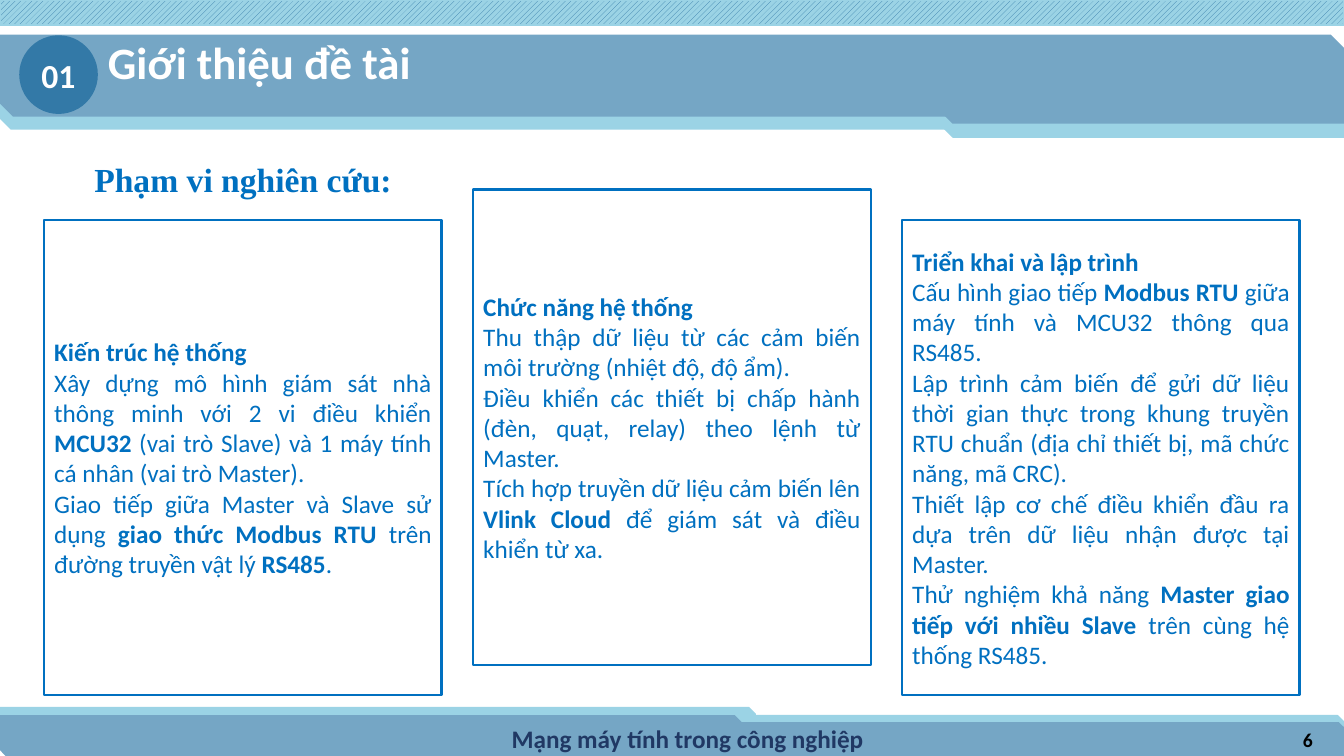
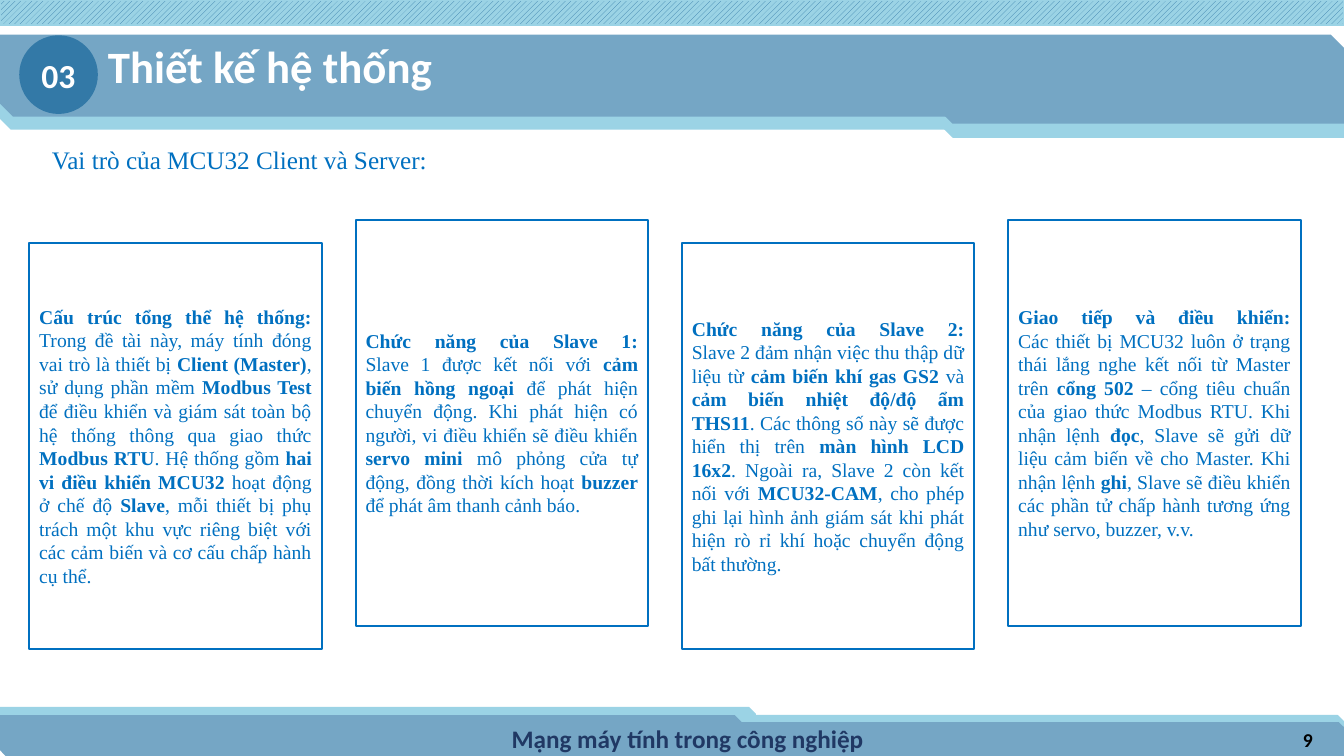
from lxml.etree import SubElement
from pptx import Presentation
from pptx.dml.color import RGBColor
from pptx.enum.dml import MSO_PATTERN
from pptx.enum.shapes import MSO_SHAPE
from pptx.enum.text import MSO_ANCHOR, MSO_AUTO_SIZE, PP_ALIGN
from pptx.oxml.ns import qn
from pptx.util import Inches, Pt

LIGHT, MID, DEEP = "9BD3E5", "75A6C5", "3379A7"
BLUE, NAVY, WHITE, BLACK = "0070C0", "203864", "FFFFFF", "000000"
SANS, SERIF = "Calibri", "Times New Roman"
SNIP, RECT = MSO_SHAPE.SNIP_2_DIAG_RECTANGLE, MSO_SHAPE.RECTANGLE
LEFT, MIDDLE, RIGHT, FULL = PP_ALIGN.LEFT, PP_ALIGN.CENTER, PP_ALIGN.RIGHT, PP_ALIGN.JUSTIFY

# Left, top, width and height in percent of the slide, back to front
BANDS = [
    (SNIP, LIGHT, (42.16, 94.67, 57.84, 5.07)),
    (SNIP, LIGHT, (0, 93.6, 56.19, 5.07)),
    (SNIP, MID, (46.74, 95.6, 53.26, 4.4)),
    (SNIP, MID, (0, 94.67, 55.14, 5.33)),
    (SNIP, LIGHT, (69.92, 7.73, 30.08, 10.4)),
    (SNIP, LIGHT, (0, 8.27, 100, 8.8)),
    (SNIP, MID, (0, 4.67, 100, 10.67)),
    (RECT, LIGHT, (0, 0, 100, 3.33)),
    (SNIP, MID, (69.92, 5.87, 30.08, 10.4)),
]
FOOT = (30.31, 95.07, 41.71, 5.33)
PAGE = (75.92, 95.2, 22.51, 5.33)
BADGE = (1.43, 4.67, 5.85, 10.4)

# In texts, *stars* mark bold and a newline is a line break
SLIDES = [
    {
        "title": "Giới thiệu đề tài", "rise": 3.2, "badge": "01", "page": "6",
        "head": "*Phạm vi nghiên cứu:*", "spot": (6.15, 20.4, 23.86, 6.67), "size": 24,
        "grid": (3.3, 29.07, 29.56, 62.93), "gap": 2.36, "lift": 4,
        "look": {"size": Pt(18), "name": SANS},
        "cards": [
            ["*Kiến trúc hệ thống*",
             "Xây dựng mô hình giám sát nhà thông minh với 2 vi điều khiển *MCU32* "
             "(vai trò Slave) và 1 máy tính cá nhân (vai trò Master).",
             "Giao tiếp giữa Master và Slave sử dụng *giao thức Modbus RTU* trên "
             "đường truyền vật lý *RS485*."],
            ["*Chức năng hệ thống*",
             "Thu thập dữ liệu từ các cảm biến môi trường (nhiệt độ, độ ẩm).",
             "Điều khiển các thiết bị chấp hành (đèn, quạt, relay) theo lệnh từ Master.",
             "Tích hợp truyền dữ liệu cảm biến lên *Vlink Cloud* để giám sát và "
             "điều khiển từ xa."],
            ["*Triển khai và lập trình*",
             "Cấu hình giao tiếp *Modbus RTU* giữa máy tính và MCU32 thông qua RS485.",
             "Lập trình cảm biến để gửi dữ liệu thời gian thực trong khung truyền RTU "
             "chuẩn (địa chỉ thiết bị, mã chức năng, mã CRC).",
             "Thiết lập cơ chế điều khiển đầu ra dựa trên dữ liệu nhận được tại Master.",
             "Thử nghiệm khả năng *Master giao tiếp với nhiều Slave* trên cùng hệ "
             "thống RS485."],
        ],
    },
    {
        "title": "Thiết kế hệ thống", "rise": 3.73, "badge": "03", "page": "9",
        "head": "Vai trò của MCU32 Client và Server:", "spot": (2.18, 18.4, 31.28, 5.33),
        "size": 18,
        "grid": (2.18, 32.13, 21.76, 53.73), "gap": 2.52, "lift": 3.07,
        "look": {"size": Pt(14), "name": SERIF},
        "cards": [
            ["*Cấu trúc tổng thể hệ thống:\n*Trong đề tài này, máy tính đóng vai trò là "
             "thiết bị *Client (Master)*, sử dụng phần mềm *Modbus Test* để điều khiển và "
             "giám sát toàn bộ hệ thống thông qua giao thức *Modbus RTU*. Hệ thống gồm "
             "*hai vi điều khiển MCU32* hoạt động ở chế độ *Slave*, mỗi thiết bị phụ trách "
             "một khu vực riêng biệt với các cảm biến và cơ cấu chấp hành cụ thể."],
            ["*Chức năng của Slave 1:\n*Slave 1 được kết nối với *cảm biến hồng ngoại* để "
             "phát hiện chuyển động. Khi phát hiện có người, vi điều khiển sẽ điều khiển "
             "*servo mini* mô phỏng cửa tự động, đồng thời kích hoạt *buzzer* để phát âm "
             "thanh cảnh báo."],
            ["*Chức năng của Slave 2:\n*Slave 2 đảm nhận việc thu thập dữ liệu từ *cảm biến "
             "khí gas GS2* và *cảm biến nhiệt độ/độ ẩm THS11*. Các thông số này sẽ được "
             "hiển thị trên *màn hình LCD 16x2*. Ngoài ra, Slave 2 còn kết nối với "
             "*MCU32-CAM*, cho phép ghi lại hình ảnh giám sát khi phát hiện rò rỉ khí hoặc "
             "chuyển động bất thường."],
            ["*Giao tiếp và điều khiển:\n*Các thiết bị MCU32 luôn ở trạng thái lắng nghe kết "
             "nối từ Master trên *cổng 502* – cổng tiêu chuẩn của giao thức Modbus RTU. Khi "
             "nhận lệnh *đọc*, Slave sẽ gửi dữ liệu cảm biến về cho Master. Khi nhận lệnh "
             "*ghi*, Slave sẽ điều khiển các phần tử chấp hành tương ứng như servo, buzzer, "
             "v.v."],
        ],
    },
]

deck = Presentation()
deck.slide_width, deck.slide_height = Inches(13.33), Inches(7.5)


def box(x, y, w, h):
    """Turn percents of the slide into lengths."""
    wide, high = deck.slide_width, deck.slide_height
    return [round(part * full / 100) for part, full in zip((x, y, w, h), (wide, high) * 2)]


def write(shape, lines, align, tint, look, anchor=MSO_ANCHOR.MIDDLE):
    """Fill a shape with lines, where *stars* mark bold."""
    frame = shape.text_frame
    form = {"word_wrap": True, "auto_size": MSO_AUTO_SIZE.NONE, "vertical_anchor": anchor}
    for key, value in form.items():
        setattr(frame, key, value)
    for row, line in enumerate(lines):
        para = frame.add_paragraph() if row else frame.paragraphs[0]
        para.alignment = align
        for turn, piece in enumerate(line.split("*")):
            for part, text in enumerate(piece.split("\n")):
                if part:
                    para.add_line_break()
                    SubElement(para._p[-1], qn("a:rPr"), sz=str(int(look["size"].pt * 100)))
                if text:
                    run = para.add_run()
                    run.text = text
                    run.font.bold = turn % 2 == 1
                    run.font.color.rgb = RGBColor.from_string(tint)
                    for key, value in look.items():
                        setattr(run.font, key, value)


# The bands and the footer belong to the layout that both slides use
layout = deck.slide_layouts[5]
for holder in list(layout.placeholders)[1:]:
    layout.shapes.element.remove(holder.element)
slides = [deck.slides.add_slide(layout) for _ in SLIDES]
stage = slides[0].shapes
parts = []
for kind, tint, spot in BANDS:
    band = stage.add_shape(kind, *box(*spot))
    band.shadow.inherit = False
    if kind == RECT:
        band.fill.patterned()
        band.fill.pattern = MSO_PATTERN.WIDE_UPWARD_DIAGONAL
        band.fill.fore_color.rgb = RGBColor.from_string(DEEP)
        band.fill.back_color.rgb = RGBColor.from_string(tint)
    else:
        band.fill.solid()
        band.fill.fore_color.rgb = RGBColor.from_string(tint)
    band.line.color.rgb = RGBColor.from_string(tint)
    band.line.width = Pt(1)
    parts.append(band)
foot = stage.add_textbox(*box(*FOOT))
write(foot, ["*Mạng máy tính trong công nghiệp*"], MIDDLE, NAVY, {"size": Pt(18), "name": SANS})
for rank, part in enumerate(parts + [foot]):
    part.element.nvSpPr.cNvPr.id = 100 + rank
    layout.shapes.element.insert(2 + rank, part.element)

for slide, data in zip(slides, SLIDES):
    shapes = slide.shapes
    title = shapes.title
    for key, value in zip(("left", "top", "width", "height"), box(7.28, data["rise"], 45.99, 10.4)):
        setattr(title, key, value)
    write(title, [f"*{data['title']}*"], LEFT, WHITE, {"size": Pt(32), "name": SANS}, MSO_ANCHOR.TOP)
    title.text_frame.margin_top = Inches(0.1)

    badge = shapes.add_shape(MSO_SHAPE.OVAL, *box(*BADGE))
    badge.shadow.inherit = False
    badge.fill.solid()
    badge.fill.fore_color.rgb = RGBColor.from_string(DEEP)
    badge.line.fill.background()
    write(badge, [f"*{data['badge']}*"], MIDDLE, WHITE, {"size": Pt(24), "name": SANS})

    page = shapes.add_textbox(*box(*PAGE))
    write(page, [f"*{data['page']}*"], RIGHT, BLACK, {"size": Pt(14), "name": SANS})
    head = shapes.add_textbox(*box(*data["spot"]))
    write(head, [data["head"]], MIDDLE, BLUE, {"size": Pt(data["size"]), "name": SERIF},
          MSO_ANCHOR.TOP)

    x, y, w, h = data["grid"]
    for col, lines in enumerate(data["cards"]):
        spot = box(x + col * (w + data["gap"]), y - col % 2 * data["lift"], w, h)
        card = shapes.add_shape(RECT, *spot)
        card.shadow.inherit = False
        card.fill.solid()
        card.fill.fore_color.rgb = RGBColor.from_string(WHITE)
        card.line.color.rgb = RGBColor.from_string(BLUE)
        card.line.width = Pt(1.5)
        write(card, lines, FULL, BLUE, data["look"])

deck.save("out.pptx")
